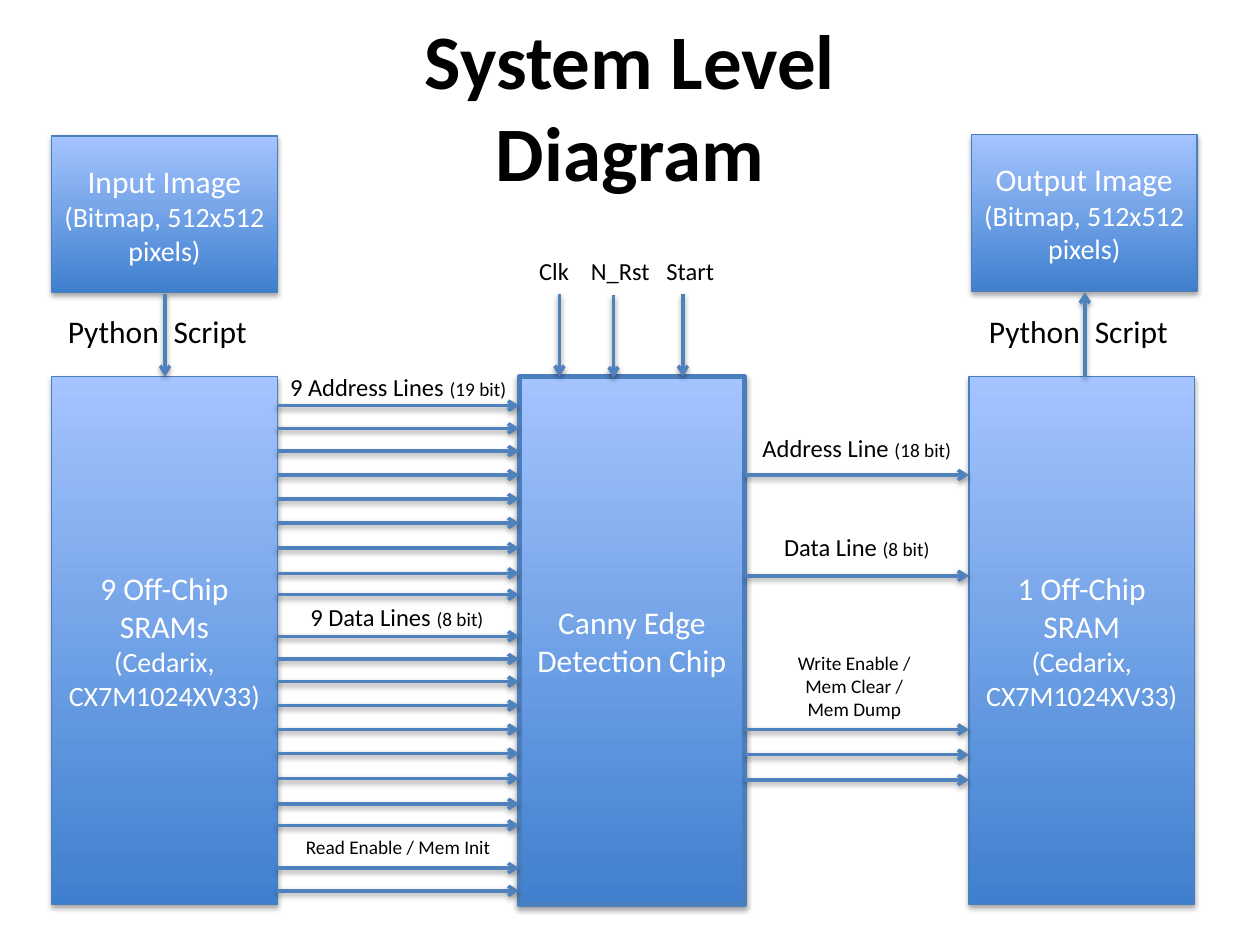
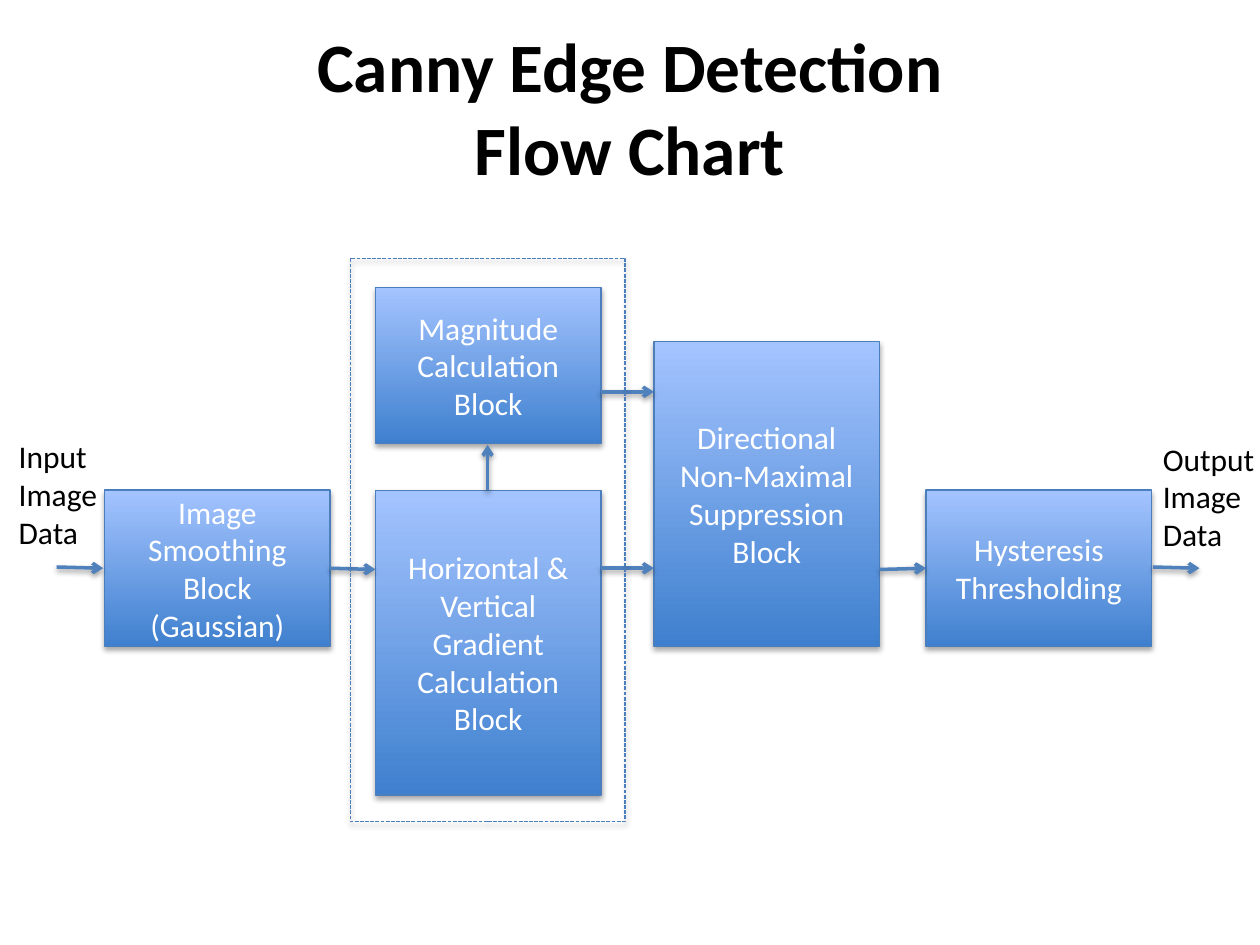
from dataclasses import dataclass

from lxml import etree
from pptx import Presentation
from pptx.dml.color import RGBColor
from pptx.enum.dml import MSO_LINE
from pptx.enum.shapes import MSO_CONNECTOR, MSO_SHAPE
from pptx.enum.text import MSO_ANCHOR, PP_ALIGN
from pptx.oxml.ns import qn
from pptx.util import Inches, Pt

# Shared style
FONT = "Calibri"
COLORS = {
    "text": "000000",
    "box_text": "FFFFFF",
    "box_bottom": "3F80CE",
    "box_top": "A4C4FF",
    "border": "4B7EBC",
    "arrow": "4F81BD",
    "shadow": "000000",
}
BOX_W, SHORT_H, MID_H, TALL_H = 1.79, 1.24, 2.42, 4.19
LEFT, CENTER = PP_ALIGN.LEFT, PP_ALIGN.CENTER

# A paragraph is a list of (text, size) runs
Paragraphs = list[list[tuple[str, float]]]


@dataclass
class Box:
    x: float
    y: float
    h: float
    text: Paragraphs
    border: float = 0.75


@dataclass
class Label:
    x: float
    y: float
    w: float
    h: float
    text: Paragraphs
    align: PP_ALIGN = CENTER


@dataclass
class Arrow:
    x1: float
    y1: float
    x2: float
    y2: float


def rgb(name: str) -> RGBColor:
    return RGBColor.from_string(COLORS[name])


def lines(size: float, *texts: str) -> Paragraphs:
    return [[(text, size)] for text in texts]


def write(tf, text: Paragraphs, *, color: str = "text", align=CENTER,
          anchor=MSO_ANCHOR.TOP, bold: bool = False) -> None:
    tf.word_wrap = True
    tf.vertical_anchor = anchor
    for i, runs in enumerate(text):
        p = tf.paragraphs[0] if i == 0 else tf.add_paragraph()
        p.alignment = align
        for content, size in runs:
            r = p.add_run()
            r.text = content
            r.font.name = FONT
            r.font.size = Pt(size)
            r.font.bold = bold
            r.font.color.rgb = rgb(color)


def add_shadow(sp, alpha: int, dist: float) -> None:
    effects = etree.SubElement(sp._element.spPr, qn("a:effectLst"))
    shadow = etree.SubElement(
        effects, qn("a:outerShdw"), blurRad=str(Pt(3.15)), dist=str(Pt(dist)),
        dir="5400000", rotWithShape="0")
    color = etree.SubElement(shadow, qn("a:srgbClr"), val=COLORS["shadow"])
    etree.SubElement(color, qn("a:alpha"), val=str(alpha * 1000))


def add_rect(slide, x: float, y: float, w: float, h: float, border: float):
    sp = slide.shapes.add_shape(
        MSO_SHAPE.RECTANGLE, Inches(x), Inches(y), Inches(w), Inches(h))
    sp.line.color.rgb = rgb("border")
    sp.line.width = Pt(border)
    return sp


def add_box(slide, box: Box) -> None:
    sp = add_rect(slide, box.x, box.y, BOX_W, box.h, box.border)
    sp.fill.gradient()
    sp.fill.gradient_angle = 90
    for stop, position, name in zip(
            sp.fill.gradient_stops, (0, 1), ("box_bottom", "box_top")):
        stop.position = position
        stop.color.rgb = rgb(name)
    add_shadow(sp, 35, 1.8)
    write(sp.text_frame, box.text, color="box_text", anchor=MSO_ANCHOR.MIDDLE)


def add_dashed_frame(slide, x: float, y: float, w: float, h: float) -> None:
    sp = add_rect(slide, x, y, w, h, 0.75)
    sp.fill.background()
    sp.line.dash_style = MSO_LINE.SQUARE_DOT
    add_shadow(sp, 35, 1.8)


def add_label(slide, label: Label, **style) -> None:
    sp = slide.shapes.add_textbox(
        Inches(label.x), Inches(label.y), Inches(label.w), Inches(label.h))
    write(sp.text_frame, label.text, align=label.align, **style)


def add_arrow(slide, arrow: Arrow) -> None:
    sp = slide.shapes.add_connector(
        MSO_CONNECTOR.STRAIGHT, Inches(arrow.x1), Inches(arrow.y1),
        Inches(arrow.x2), Inches(arrow.y2))
    sp.line.color.rgb = rgb("arrow")
    sp.line.width = Pt(2)
    etree.SubElement(sp.line._get_or_add_ln(), qn("a:tailEnd"), type="arrow")
    add_shadow(sp, 38, 1.6)


def add_diagram(prs, title: Label, boxes: list[Box], arrows: list[Arrow],
                labels: list[Label]):
    slide = prs.slides.add_slide(prs.slide_layouts[6])
    add_label(slide, title, anchor=MSO_ANCHOR.MIDDLE, bold=True)
    for box in boxes:
        add_box(slide, box)
    for arrow in arrows:
        add_arrow(slide, arrow)
    for label in labels:
        add_label(slide, label)
    return slide


def build_system_level(prs) -> None:
    top, in_x, chip_x, out_x = 2.99, 0.41, 4.12, 7.69
    in_edge, chip_edge = in_x + BOX_W, chip_x + BOX_W

    # Memories, chip and images
    bitmap = [("(Bitmap, 512x512 pixels)", 16)]
    part = [("(Cedarix, CX7M1024XV33)", 16)]
    boxes = [
        Box(in_x, 1.08, SHORT_H, [[("Input Image", 18)], bitmap]),
        Box(in_x, top, TALL_H, [[("9 Off-Chip SRAMs", 18)], part]),
        Box(chip_x, top, TALL_H, lines(18, "Canny Edge Detection Chip"), 3),
        Box(7.71, 1.07, SHORT_H, [[("Output Image", 18)], bitmap]),
        Box(out_x, top, TALL_H, [[("1 Off-Chip SRAM", 18)], part]),
    ]

    # Nine address lines, nine data lines and two control lines
    bus = (0, 0.18, 0.36, 0.55, 0.74, 0.93, 1.13, 1.33, 1.5)
    in_rows = [start + step for start in (3.22, 5.05) for step in bus]
    in_rows += [6.89, 7.07]
    out_rows = [3.77, 4.57, 5.79, 5.99, 6.19]
    arrows = [Arrow(in_edge, y, chip_x, y) for y in in_rows]
    arrows += [Arrow(chip_edge, y, out_x, y) for y in out_rows]
    arrows += [Arrow(x, y, x, y + 0.66)
               for x, y in ((1.31, 2.33), (4.44, 2.33), (4.87, 2.34), (5.42, 2.33))]
    arrows.append(Arrow(8.61, top, 8.61, 2.32))

    # Signal names
    buses = [
        (2.2, 2.9, 1.92, "9 Address Lines ", "(19 bit)"),
        (2.31, 4.73, 1.68, "9 Data Lines ", "(8 bit)"),
        (5.84, 3.39, 1.92, "Address Line ", "(18 bit)"),
        (5.96, 4.17, 1.68, "Data Line ", "(8 bit)"),
    ]
    labels = [Label(x, y, w, 0.34, [[(name, 14), (bits, 11)]])
              for x, y, w, name, bits in buses]
    labels += [
        Label(2.32, 6.58, 1.68, 0.29, lines(11, "Read Enable / Mem Init")),
        Label(5.94, 5.12, 1.68, 0.66,
              lines(11, "Write Enable /", "Mem Clear /", "Mem Dump")),
    ]
    labels += [Label(x, 1.98, 0.75, 0.34, lines(14, name), LEFT)
               for x, name in ((4.18, "Clk"), (4.59, "N_Rst"), (5.19, "Start"))]
    labels += [Label(x + dx, 2.43, 0.95, 0.4, lines(18, word), LEFT)
               for x in (0.44, 7.75) for dx, word in ((0, "Python"), (0.84, "Script"))]

    title = Label(0.5, -0.04, 9, 1.74, lines(44, "System Level", "Diagram"))
    add_diagram(prs, title, boxes, arrows, labels)


def build_flow_chart(prs) -> None:
    smooth_x, gradient_x, suppress_x, threshold_x = 0.83, 2.98, 5.19, 7.35
    row, flow_y = 3.89, 4.51

    # Processing blocks
    boxes = [
        Box(smooth_x, row, SHORT_H, lines(18, "Image Smoothing Block (Gaussian)")),
        Box(gradient_x, 2.28, SHORT_H, lines(18, "Magnitude Calculation Block")),
        Box(gradient_x, row, MID_H,
            lines(18, "Horizontal & Vertical Gradient Calculation Block")),
        Box(suppress_x, 2.71, MID_H,
            lines(18, "Directional Non-Maximal Suppression Block")),
        Box(threshold_x, row, SHORT_H, lines(18, "Hysteresis Thresholding")),
    ]

    # Data flow
    arrows = [
        Arrow(0.45, 4.5, 0.82, flow_y),
        Arrow(smooth_x + BOX_W, flow_y, gradient_x, 4.52),
        Arrow(3.87, row, 3.87, 3.53),
        Arrow(gradient_x + BOX_W, 3.11, suppress_x, 3.11),
        Arrow(gradient_x + BOX_W, flow_y, suppress_x, flow_y),
        Arrow(suppress_x + BOX_W, 4.52, threshold_x, flow_y),
        Arrow(9.15, 4.5, 9.52, flow_y),
    ]
    labels = [
        Label(0.05, 3.42, 0.87, 1.01, lines(18, "Input Image", "Data"), LEFT),
        Label(9.13, 3.44, 1.02, 1.01, lines(18, "Output Image Data"), LEFT),
    ]
    title = Label(0.5, 0.22, 9, 1.25,
                  lines(39.6, "Canny Edge Detection", "Flow Chart"))
    slide = add_diagram(prs, title, boxes, arrows, labels)
    add_dashed_frame(slide, 2.78, 2.05, 2.18, 4.47)


def main() -> None:
    prs = Presentation()
    prs.slide_width, prs.slide_height = Inches(10), Inches(7.5)
    build_system_level(prs)
    build_flow_chart(prs)
    prs.save("out.pptx")


if __name__ == "__main__":
    main()
